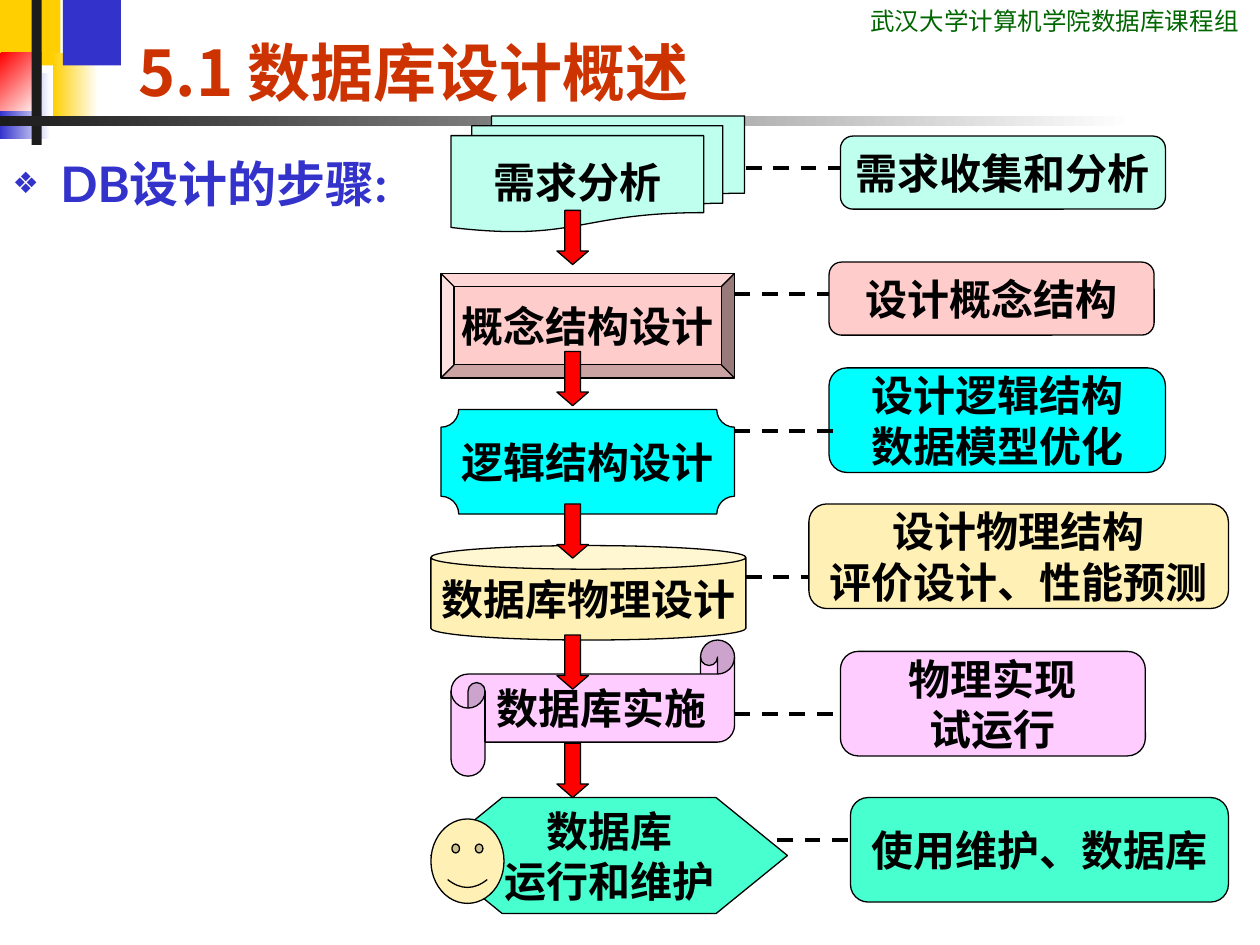
from lxml.etree import SubElement
from pptx import Presentation
from pptx.dml.color import RGBColor
from pptx.enum.dml import MSO_LINE
from pptx.enum.shapes import MSO_CONNECTOR, MSO_SHAPE as Shape
from pptx.enum.text import MSO_ANCHOR as Anchor, MSO_AUTO_SIZE, PP_ALIGN as Align
from pptx.oxml.ns import qn
from pptx.util import Inches, Pt

BLACK = RGBColor(0x00, 0x00, 0x00)
WHITE = RGBColor(0xFF, 0xFF, 0xFF)
DARK = RGBColor(0x1C, 0x1C, 0x1C)
GOLD = RGBColor(0xFF, 0xCF, 0x01)
BLUE = RGBColor(0x33, 0x33, 0xCC)
RED = RGBColor(0xFF, 0x00, 0x00)
GREEN = RGBColor(0x00, 0x66, 0x00)
RUST = RGBColor(0xCC, 0x33, 0x00)
MINT = RGBColor(0xBF, 0xFF, 0xEE)
PINK = RGBColor(0xFF, 0xCC, 0xCC)
CYAN = RGBColor(0x00, 0xFF, 0xFF)
CREAM = RGBColor(0xFF, 0xF1, 0xB5)
LILAC = RGBColor(0xFF, 0xCC, 0xFF)
TEAL = RGBColor(0x47, 0xFF, 0xCF)

HEADER = "武汉大学计算机学院数据库课程组"
TITLE = [("5.1 数据库设计", "Noto Sans CJK SC"), ("概述", "Lato")]
BODY = "DB设计的步骤:"

DECORATIONS = [
    ((0, 0, 0.48, 0.52), [GOLD], 0),
    ((0.42, 0.42, 0.36, 0.52), [WHITE, GOLD], 180),
    ((0.5, 0, 0.46, 0.52), [BLUE], 0),
    ((0, 0.58, 0.4, 0.52), [WHITE, BLUE], 180),
    ((0, 0.42, 0.33, 0.46), [RED, WHITE], 315),
    ((0.25, 0, 0.08, 1.15), [DARK], 0),
    ((0, 0.92, 9, 0.08), [WHITE, DARK], 180),
]

STAGES = [
    (Shape.FLOWCHART_MULTIDOCUMENT, (3.58, 0.92, 2.33, 0.92), MINT, [], ["需求分析"]),
    (Shape.BEVEL, (3.5, 2.17, 2.33, 0.83), PINK, [0.125], ["概念结构设计"]),
    (Shape.PLAQUE, (3.5, 3.25, 2.33, 0.83), CYAN, [0.17], ["逻辑结构设计"]),
    (Shape.CAN, (3.42, 4.33, 2.5, 0.75), CREAM, [0.25], ["数据库物理设计"]),
    (Shape.HORIZONTAL_SCROLL, (3.58, 5.08, 2.25, 1.08), LILAC, [0.25], ["数据库实施"]),
    (Shape.FLOWCHART_PREPARATION, (3.42, 6.33, 2.83, 0.92), TEAL, [], ["数据库", "运行和维护"]),
]
SMILEY = (3.42, 6.5, 0.58, 0.67)
ARROW_TOPS = [1.67, 2.79, 4, 5.04, 5.9]

TASKS = [
    ((6.67, 1.08, 2.58, 0.58), MINT, ["需求收集和分析"], (5.92, 6.67, 1.33)),
    ((6.58, 2.08, 2.58, 0.58), PINK, ["设计概念结构"], (5.83, 6.58, 2.33)),
    ((6.58, 2.92, 2.67, 0.83), CYAN, ["设计逻辑结构", "数据模型优化"], (5.83, 6.67, 3.42)),
    ((6.42, 4, 3.33, 0.83), CREAM, ["设计物理结构", "评价设计、性能预测"], (5.92, 6.42, 4.58)),
    ((6.67, 5.17, 2.42, 0.83), LILAC, ["物理实现", "试运行"], (5.83, 6.67, 5.67)),
    ((6.75, 6.33, 3, 0.83), TEAL, ["使用维护、数据库"], (6.17, 6.75, 6.67)),
]


def inches(values):
    return [Inches(value) for value in values]


def add_span(para, text, size, color, face="Lato", bold=True):
    span = para.add_run()
    span.text = text
    span.font.size = Pt(size)
    span.font.name = face
    span.font.bold = bold
    span.font.color.rgb = color


def add_figure(page, kind, place, color, adjustments=(), lines=()):
    figure = page.shapes.add_shape(kind, *inches(place))
    figure.shadow.inherit = False
    figure.fill.solid()
    figure.fill.fore_color.rgb = color
    figure.line.color.rgb = BLACK
    figure.line.width = Pt(0.75)
    for index, value in enumerate(adjustments):
        figure.adjustments[index] = value
    frame = figure.text_frame
    frame.word_wrap = False
    frame.vertical_anchor = Anchor.MIDDLE
    for index, line in enumerate(lines):
        para = frame.add_paragraph() if index else frame.paragraphs[0]
        para.alignment = Align.CENTER
        add_span(para, line, 24, BLACK)


def add_decoration(page, place, colors, angle):
    block = page.shapes.add_shape(Shape.RECTANGLE, *inches(place))
    block.shadow.inherit = False
    block.line.fill.background()
    if len(colors) == 1:
        block.fill.solid()
        block.fill.fore_color.rgb = colors[0]
        return
    block.fill.gradient()
    block.fill.gradient_angle = angle
    for position, (stop, color) in enumerate(zip(block.fill.gradient_stops, colors)):
        stop.position = position
        stop.color.rgb = color


def add_dashes(page, start, end, level):
    dashes = page.shapes.add_connector(
        MSO_CONNECTOR.STRAIGHT, *inches((start, level, end, level)))
    dashes.line.color.rgb = BLACK
    dashes.line.width = Pt(2.25)
    dashes.line.dash_style = MSO_LINE.DASH
    SubElement(dashes.element.spPr, qn("a:effectLst"))


def place_holder(box, place, anchor):
    box.left, box.top, box.width, box.height = inches(place)
    box.element.getparent().append(box.element)
    frame = box.text_frame
    frame.auto_size = MSO_AUTO_SIZE.NONE
    frame.word_wrap = True
    frame.vertical_anchor = anchor
    para = frame.paragraphs[0]
    para.alignment = Align.LEFT
    para.space_before = Pt(0)
    return para


def add_bullet(para, symbol, color, percent):
    properties = para._p.get_or_add_pPr()
    properties.set("marL", str(Inches(0.38)))
    properties.set("indent", str(-Inches(0.38)))
    tint = SubElement(properties, qn("a:buClr"))
    SubElement(tint, qn("a:srgbClr"), val=str(color))
    SubElement(properties, qn("a:buSzPct"), val=str(percent * 1000))
    SubElement(properties, qn("a:buChar"), char=symbol)


def main():
    deck = Presentation()
    deck.slide_width, deck.slide_height = Inches(10), Inches(7.5)
    page = deck.slides.add_slide(deck.slide_layouts[1])
    title, body = page.shapes.title, page.placeholders[1]

    for decoration in DECORATIONS:
        add_decoration(page, *decoration)

    header = page.shapes.add_textbox(*inches((6.81, 0, 3.19, 0.34)))
    header.text_frame.word_wrap = True
    add_span(header.text_frame.paragraphs[0], HEADER, 14, GREEN, "Roboto Condensed", False)

    para = place_holder(title, (1, 0, 8.74, 0.92), Anchor.BOTTOM)
    for text, face in TITLE:
        add_span(para, text, 36, RUST, face)

    para = place_holder(body, (0, 1.17, 3.33, 0.83), Anchor.TOP)
    add_bullet(para, "❖", BLUE, 60)
    add_span(para, BODY, 28, BLUE)

    for stage in STAGES:
        add_figure(page, *stage)
    add_figure(page, Shape.SMILEY_FACE, SMILEY, CREAM, [0.09])
    for top in ARROW_TOPS:
        add_figure(page, Shape.DOWN_ARROW, (4.42, top, 0.25, 0.43), RED, [0.5, 0.43])

    for place, color, lines, link in TASKS:
        add_figure(page, Shape.ROUNDED_RECTANGLE, place, color, [0.17], lines)
        add_dashes(page, *link)

    deck.save("out.pptx")


if __name__ == "__main__":
    main()
